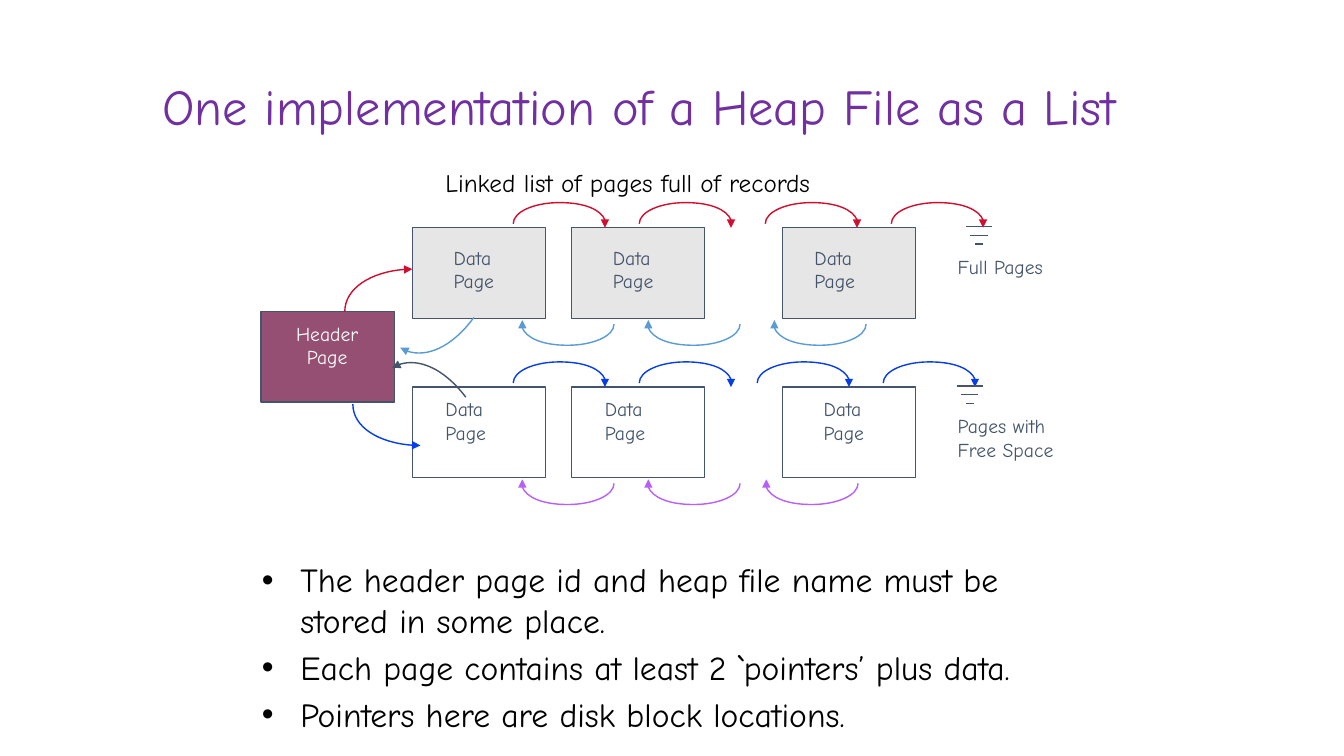
from lxml import etree
from pptx import Presentation
from pptx.dml.color import RGBColor
from pptx.enum.shapes import MSO_CONNECTOR, MSO_SHAPE
from pptx.enum.text import MSO_ANCHOR, MSO_AUTO_SIZE, PP_ALIGN
from pptx.oxml.ns import qn
from pptx.util import Inches, Pt

FONT = "Comic Neue"
BLACK = RGBColor(0x00, 0x00, 0x00)
WHITE = RGBColor(0xFF, 0xFF, 0xFF)
PURPLE = RGBColor(0x70, 0x30, 0xA0)
SLATE = RGBColor(0x44, 0x54, 0x6A)
GRAY = RGBColor(0xE7, 0xE6, 0xE6)
PLUM = RGBColor(0x95, 0x4F, 0x72)
RED = RGBColor(0xCF, 0x0E, 0x30)
SKY = RGBColor(0x5B, 0x9B, 0xD5)
BLUE = RGBColor(0x06, 0x3D, 0xE8)
VIOLET = RGBColor(0xB7, 0x60, 0xF9)

PAGE_W, PAGE_H = 1.32, 0.9
PAGE_LEFTS = (4.09, 5.67, 7.76)
HOP_W, HOP_H = 0.92, 0.25
# Start point, then two control points and an end point per curve.
HOP = ((0, 0.21), (0, 0.09), (0.21, 0), (0.46, 0), (0.71, 0),
       (0.92, 0.09), (0.92, 0.22), (0.92, 0.23), (0.91, 0.24), (0.91, 0.25))


class HeapFileSlide:
    def __init__(self, slide):
        self.shapes = slide.shapes

    def text(self, box, words, size, color, align=PP_ALIGN.LEFT, wrap=False):
        frame = self.shapes.add_textbox(*map(Inches, box)).text_frame
        frame.word_wrap = wrap
        frame.auto_size = MSO_AUTO_SIZE.NONE if wrap else MSO_AUTO_SIZE.SHAPE_TO_FIT_TEXT
        frame.text = words
        for paragraph in frame.paragraphs:
            paragraph.alignment = align
            font = paragraph.runs[0].font
            font.name, font.size = FONT, Pt(size)
            font.color.rgb = color
        return frame

    def bullets(self, box, points, size):
        frame = self.text(box, "\n".join(points), size, BLACK, wrap=True)
        for paragraph in frame.paragraphs:
            paragraph.space_before = Pt(0.2 * size)
            properties = paragraph._p.get_or_add_pPr()
            properties.set("marL", str(Inches(0.38)))
            properties.set("indent", str(-Inches(0.38)))
            etree.SubElement(properties, qn("a:buFont"), typeface="Arial")
            etree.SubElement(properties, qn("a:buChar"), char="•")

    def page(self, left, top, fill=None):
        page = self.shapes.add_shape(
            MSO_SHAPE.RECTANGLE, *map(Inches, (left, top, PAGE_W, PAGE_H)))
        page.shadow.inherit = False
        if fill is None:
            page.fill.background()
        else:
            page.fill.solid()
            page.fill.fore_color.rgb = fill
        page.line.color.rgb = SLATE
        page.line.width = Pt(1)

    def curved_arrow(self, points, color):
        """Draw cubic curves through start, control, control, end, ... points."""
        start, *rest = [(Inches(x), Inches(y)) for x, y in points]
        builder = self.shapes.build_freeform(*start, scale=1.0)
        builder.add_line_segments(rest, close=False)
        arrow = builder.convert_to_shape()
        arrow.shadow.inherit = False
        arrow.fill.background()
        arrow.line.color.rgb = color
        arrow.line.width = Pt(1)
        etree.SubElement(arrow.line._get_or_add_ln(), qn("a:tailEnd"), type="triangle")
        outline = arrow._element.find(".//" + qn("a:path"))
        segments = outline.findall(qn("a:lnTo"))
        for first in range(0, len(segments), 3):
            curve = etree.SubElement(outline, qn("a:cubicBezTo"))
            for segment in segments[first:first + 3]:
                curve.append(segment[0])
                outline.remove(segment)

    def next_arrow(self, left, top, color):
        self.curved_arrow([(left + x, top + y) for x, y in HOP], color)

    def previous_arrow(self, left, top, color):
        self.curved_arrow([(left + HOP_W - x, top + HOP_H - y) for x, y in HOP], color)

    def end_of_list(self, center, top):
        """Draw three shrinking bars, as in an electrical ground symbol."""
        for row, width in enumerate((0.25, 0.17, 0.08)):
            y = Inches(top + row * 0.085)
            bar = self.shapes.add_connector(
                MSO_CONNECTOR.STRAIGHT, Inches(center - width / 2), y,
                Inches(center + width / 2), y)
            bar.line.color.rgb = SLATE
            bar.line.width = Pt(1)
            etree.SubElement(bar._element.spPr, qn("a:effectLst"))

    def page_list(self, top, fill, label_lefts, label_top, next_lefts, next_color,
                  previous_lefts, previous_color, end_center):
        for left in PAGE_LEFTS:
            self.page(left, top, fill)
        for left in label_lefts:
            self.text((left, label_top, 0.63, 0.57), "Data\nPage", 14, SLATE)
        for left in next_lefts:
            self.next_arrow(left, top - 0.25, next_color)
        for left in previous_lefts:
            self.previous_arrow(left, top + 0.915, previous_color)
        self.end_of_list(end_center, top - 0.01)


def main():
    presentation = Presentation()
    presentation.slide_width, presentation.slide_height = Inches(13.33), Inches(7.5)
    heap = HeapFileSlide(presentation.slides.add_slide(presentation.slide_layouts[6]))

    title = heap.text((1.03, 0.44, 10.62, 1.21),
                      "One implementation of a Heap File as a List",
                      36, PURPLE, PP_ALIGN.CENTER, wrap=True)
    title.vertical_anchor = MSO_ANCHOR.MIDDLE
    heap.bullets((2.5, 5.5, 8.42, 1.25), (
        "The header page id and heap file name must be stored in some place.",
        "Each page contains at least 2 `pointers’ plus data.",
        "Pointers here are disk block locations."), 24)

    heap.page_list(2.26, GRAY, (4.4, 5.98, 7.98), 2.39,
                   (5.09, 6.34, 7.59, 8.84), RED, (5.17, 6.42, 7.67), SKY, 9.71)
    heap.page_list(3.84, None, (4.32, 5.9, 8.07), 3.89,
                   (5.09, 6.34, 7.51, 8.76), BLUE, (5.17, 6.42, 7.59), VIOLET, 9.62)

    heap.page(2.59, 3.09, PLUM)
    heap.text((2.81, 3.14, 0.87, 0.57), "Header\nPage", 14, WHITE, PP_ALIGN.CENTER)
    header_links = (
        (((3.42, 3.09), (3.42, 2.86), (3.72, 2.67), (4.09, 2.67)), RED),
        (((4.7, 3.15), (4.48, 3.45), (4.16, 3.58), (3.97, 3.45)), SKY),
        (((4.62, 3.94), (4.4, 3.65), (4.08, 3.52), (3.89, 3.65)), SLATE),
        (((3.5, 4.01), (3.5, 4.24), (3.8, 4.42), (4.17, 4.42)), BLUE),
    )
    for points, color in header_links:
        heap.curved_arrow(points, color)

    heap.text((9.4, 2.48, 1.1, 0.33), "Full Pages", 14, SLATE)
    heap.text((9.4, 4.06, 1.24, 0.57), "Pages with\nFree Space", 14, SLATE)
    heap.text((4.32, 1.61, 4.29, 0.4), "Linked list of pages full of records", 18, BLACK)
    presentation.save("out.pptx")


if __name__ == "__main__":
    main()
